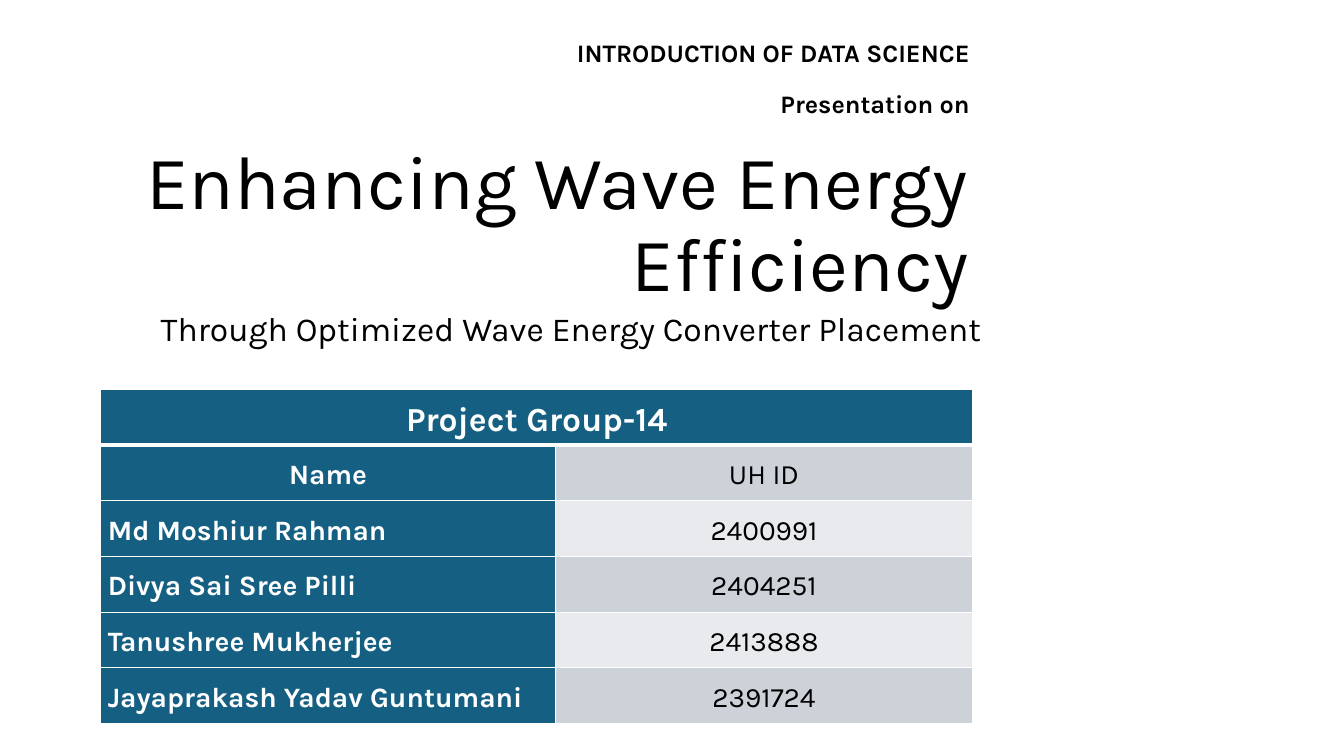
import dataclasses
import typing

import lxml.etree
import pptx
import pptx.dml.color
import pptx.enum.text
import pptx.oxml.ns
import pptx.util

Pt = pptx.util.Pt
Align = pptx.enum.text.PP_ALIGN
Anchor = pptx.enum.text.MSO_ANCHOR


@dataclasses.dataclass(frozen=True)
class Theme:
    font: str = "Karla"
    black: str = "000000"
    white: str = "FFFFFF"
    blue: str = "156082"
    band_dark: str = "CCD2D8"
    band_light: str = "E8EAED"
    title: float = 54
    heading: float = 24
    cell: float = 20
    label: float = 18


@dataclasses.dataclass(frozen=True)
class Box:
    left: float
    top: float
    width: float
    height: float


@dataclasses.dataclass(frozen=True)
class Label:
    text: str
    top: float


@dataclasses.dataclass(frozen=True)
class Member:
    name: str
    uh_id: str


THEME = Theme()
LABELS = [
    Label("INTRODUCTION OF DATA SCIENCE", 23.04),
    Label("Presentation on", 59.76),
]
ROWS = [
    Member("Name", "UH ID"),
    Member("Md Moshiur Rahman", "2400991"),
    Member("Divya Sai Sree Pilli", "2404251"),
    Member("Tanushree Mukherjee", "2413888"),
    Member("Jayaprakash Yadav Guntumani", "2391724"),
]
TABLE_BOX = Box(72, 277.92, 622.8, 239.04)
COLUMN_WIDTHS = (324.72, 298.08)


def set_attributes(target: typing.Any, values: dict[str, typing.Any]) -> None:
    for name, value in values.items():
        setattr(target, name, value)


def write_text(tf: typing.Any, text: str, size: float, color: str, bold: bool,
               paragraph_format: dict[str, typing.Any]) -> None:
    p = tf.paragraphs[0]
    set_attributes(p, {"space_before": Pt(0), **paragraph_format})
    r = p.add_run()
    r.text = text
    set_attributes(r.font, {"name": THEME.font, "size": Pt(size), "bold": bold})
    r.font.color.rgb = pptx.dml.color.RGBColor.from_string(color)


def place_text(sp: typing.Any, box: Box, text: str, size: float, bold: bool,
               anchor: typing.Any, paragraph_format: dict[str, typing.Any]) -> None:
    set_attributes(sp, {k: Pt(v) for k, v in dataclasses.asdict(box).items()})
    set_attributes(sp.text_frame, {
        "word_wrap": True,
        "auto_size": pptx.enum.text.MSO_AUTO_SIZE.NONE,
        "vertical_anchor": anchor,
    })
    write_text(sp.text_frame, text, size, THEME.black, bold, paragraph_format)


def add_borders(cell: typing.Any, bottom: float, top: float) -> None:
    qn = pptx.oxml.ns.qn
    tc_pr = cell._tc.get_or_add_tcPr()
    for side, width in {"lnL": 1, "lnR": 1, "lnT": top, "lnB": bottom}.items():
        ln = lxml.etree.SubElement(tc_pr, qn(f"a:{side}"), w=str(int(Pt(width))))
        fill = lxml.etree.SubElement(ln, qn("a:solidFill"))
        lxml.etree.SubElement(fill, qn("a:srgbClr"), val=THEME.white)


def style_cell(cell: typing.Any, fill: str, bottom: float = 1, top: float = 1) -> None:
    set_attributes(cell, {
        "vertical_anchor": Anchor.MIDDLE,
        "margin_left": Pt(5), "margin_right": Pt(5),
        "margin_top": Pt(0), "margin_bottom": Pt(0),
    })
    add_borders(cell, bottom, top)
    cell.fill.solid()
    cell.fill.fore_color.rgb = pptx.dml.color.RGBColor.from_string(fill)


def write_cell(cell: typing.Any, text: str, size: float, color: str, bold: bool,
               alignment: typing.Any) -> None:
    write_text(cell.text_frame, text, size, color, bold, {
        "alignment": alignment, "line_spacing": 1.15, "space_after": Pt(6),
    })


def add_group_table(s: typing.Any) -> None:
    box = TABLE_BOX
    table = s.shapes.add_table(
        len(ROWS) + 1, len(COLUMN_WIDTHS),
        Pt(box.left), Pt(box.top), Pt(box.width), Pt(box.height)).table
    table.first_col = True
    for column, width in zip(table.columns, COLUMN_WIDTHS):
        column.width = Pt(width)
    for row in table.rows:
        row.height = Pt(box.height / len(table.rows))

    header = table.cell(0, 0)
    header.merge(table.cell(0, 1))
    for cell in table.rows[0].cells:
        style_cell(cell, THEME.blue, bottom=3)
    write_cell(header, "Project Group-14", THEME.heading, THEME.white, True, Align.CENTER)

    for i, member in enumerate(ROWS, start=1):
        name, uh_id = table.rows[i].cells
        top = 3 if i == 1 else 1
        style_cell(name, THEME.blue, top=top)
        style_cell(uh_id, THEME.band_dark if i % 2 else THEME.band_light, top=top)
        write_cell(name, member.name, THEME.cell, THEME.white, True,
                   Align.CENTER if i == 1 else Align.LEFT)
        write_cell(uh_id, member.uh_id, THEME.cell, THEME.black, False, Align.CENTER)


def main() -> None:
    prs = pptx.Presentation()
    set_attributes(prs, {"slide_width": Pt(960), "slide_height": Pt(540)})
    s = prs.slides.add_slide(prs.slide_layouts[0])
    place_text(s.shapes.title, Box(87.84, 93.6, 611.28, 129.6),
               "Enhancing Wave Energy Efficiency", THEME.title, False, Anchor.BOTTOM,
               {"alignment": Align.RIGHT, "line_spacing": 0.9})
    place_text(s.placeholders[1], Box(102.24, 219.6, 611.28, 37.44),
               "Through Optimized Wave Energy Converter Placement", THEME.heading, False,
               Anchor.TOP, {"alignment": Align.CENTER, "line_spacing": 0.9})
    for label in LABELS:
        sp = s.shapes.add_textbox(0, 0, 0, 0)
        place_text(sp, Box(390.24, label.top, 309.6, 36.72), label.text, THEME.label,
                   True, Anchor.TOP, {"alignment": Align.RIGHT})
    add_group_table(s)
    prs.save("out.pptx")


if __name__ == "__main__":
    main()
